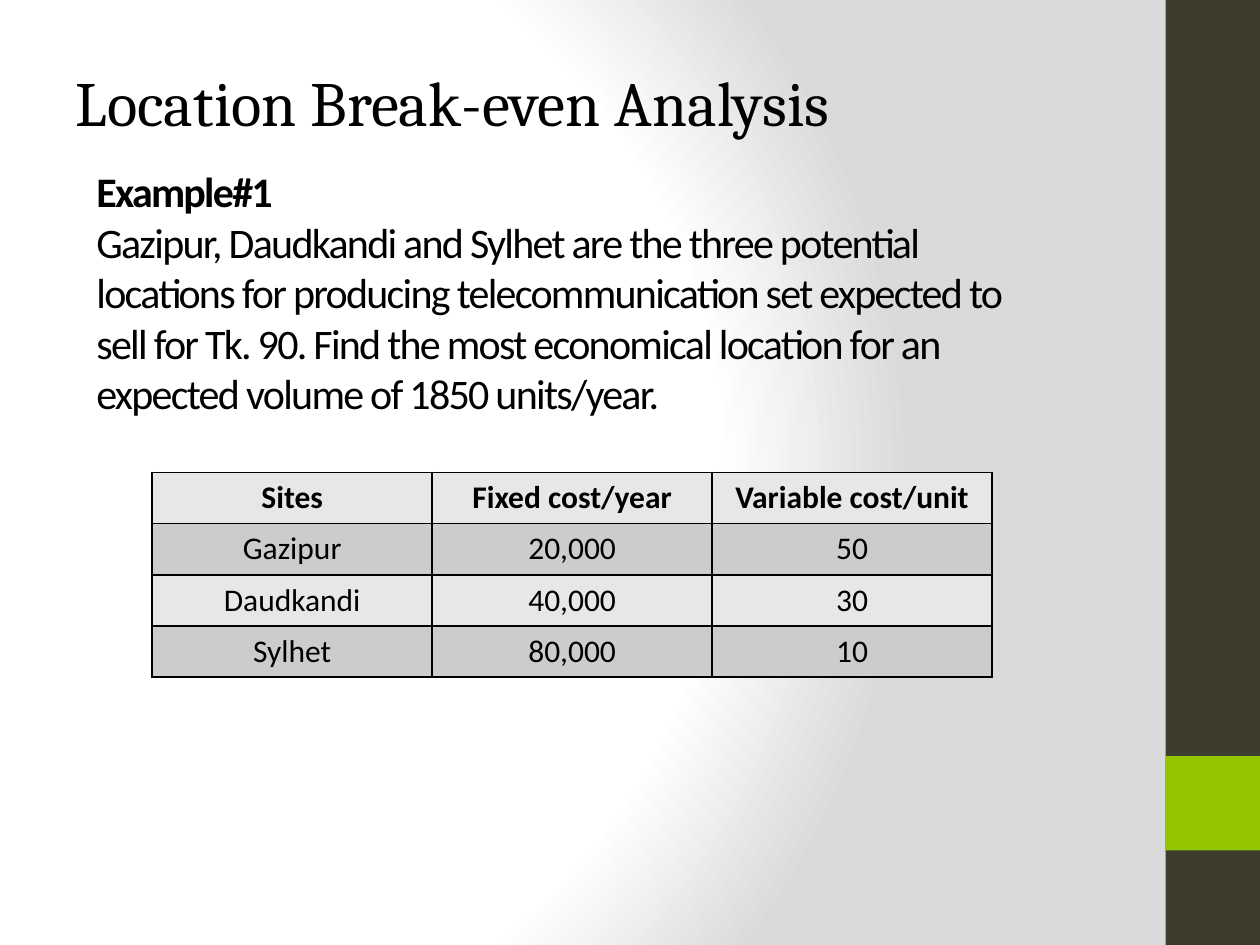
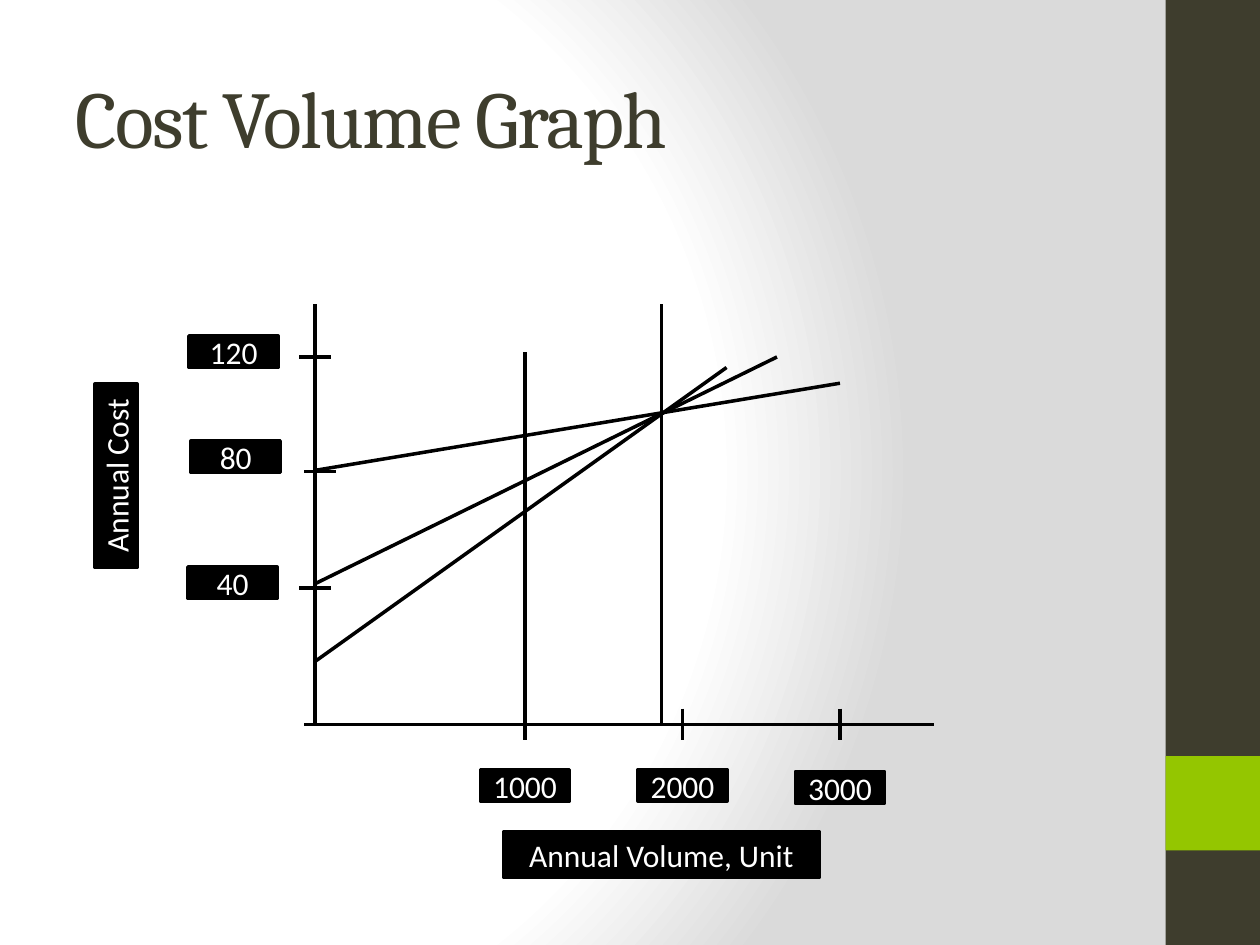
from lxml import etree
from pptx import Presentation
from pptx.dml.color import RGBColor
from pptx.enum.shapes import MSO_CONNECTOR as Line, MSO_SHAPE as Preset
from pptx.enum.text import MSO_ANCHOR as Anchor, MSO_AUTO_SIZE as AutoSize, PP_ALIGN as Align
from pptx.oxml import parse_xml
from pptx.oxml.ns import nsdecls, qn
from pptx.util import Inches, Pt

BLACK = RGBColor(0x00, 0x00, 0x00)
WHITE = RGBColor(0xFF, 0xFF, 0xFF)
OLIVE = RGBColor(0x3E, 0x3D, 0x2D)
LIME = RGBColor(0x94, 0xC6, 0x00)
EDGE_GRAY = RGBColor(0xDA, 0xDA, 0xDA)
ROW_FILLS = RGBColor(0xE7, 0xE7, 0xE7), RGBColor(0xCC, 0xCC, 0xCC)

HEADING_FONT, BODY_FONT = "Cambria", "Calibri"
SLIDE_WIDTH, SLIDE_HEIGHT = Inches(10), Inches(7.5)
COLUMNS, ROWS = 120, 90
ORIGIN_COLUMN, BASE_ROW = 30, 69
TICK_REACH = 1.5
LABEL_WIDTH, LABEL_HEIGHT = 8.5, 3

EXAMPLE = (
    "Gazipur, Daudkandi and Sylhet are the three potential locations for producing "
    "telecommunication set expected to sell for Tk. 90. Find the most economical "
    "location for an expected volume of 1850 units/year."
)
SITE_COSTS = [
    ("Sites", "Fixed cost/year", "Variable cost/unit"),
    ("Gazipur", "20,000", "50"),
    ("Daudkandi", "40,000", "30"),
    ("Sylhet", "80,000", "10"),
]
COST_TICKS = [
    ("120", 30, 34, 18, 32),
    ("80", 30.5, 44.9, 18.2, 42),
    ("40", 30, 56, 17.9, 54),
]
VOLUME_TICKS = [("1000", 50, 73.3), ("2000", 65, 73.3), ("3000", 80, 73.5)]
VOLUME_MARKERS = [(50, 33.5), (63, 29)]
SITE_LINES = [(63, 69.2, 35), (55.6, 74, 34), (44.8, 80, 36.5)]


def x(column):
    return round(SLIDE_WIDTH * column / COLUMNS)


def y(row):
    return round(SLIDE_HEIGHT * row / ROWS)


def area(column, row, width, height):
    return x(column), y(row), x(width), y(height)


def style(paragraph, size, font=BODY_FONT, color=BLACK, bold=False, tracking=0, align=Align.LEFT):
    paragraph.alignment = align
    for run in paragraph.runs:
        run.font.size = Pt(size)
        run.font.name = font
        run.font.color.rgb = color
        run.font.bold = bold
        if tracking:
            run.font._element.set("spc", str(tracking * 100))


def set_background(master):
    master.background.fill.solid()
    properties = master.element.find(".//" + qn("p:bgPr"))
    stops = "".join(
        f'<a:gs pos="{share * 1000}"><a:srgbClr val="{color}"/></a:gs>'
        for share, color in [(0, WHITE), (75, WHITE), (100, EDGE_GRAY)]
    )
    properties.replace(properties[0], parse_xml(
        f'<a:gradFill {nsdecls("a")} rotWithShape="1"><a:gsLst>{stops}</a:gsLst>'
        '<a:path path="circle"><a:fillToRect l="20000" t="50000" r="100000" b="50000"/>'
        "</a:path></a:gradFill>"
    ))


def add_block(slide, place, color):
    block = slide.shapes.add_shape(Preset.RECTANGLE, *area(*place))
    block.shadow.inherit = False
    block.fill.solid()
    block.fill.fore_color.rgb = color
    block.line.fill.background()
    return block


def add_slide(deck, heading, place, size, color, anchor, tracking=0):
    slide = deck.slides.add_slide(deck.slide_layouts[5])
    for band, fill in [((111, 0, 9, ROWS), OLIVE), ((111, 72, 9, 9), LIME)]:
        add_block(slide, band, fill)
    title = slide.shapes.title
    title.left, title.top, title.width, title.height = area(*place)
    frame = title.text_frame
    frame.text = heading
    frame.auto_size = AutoSize.NONE
    frame.vertical_anchor = anchor
    style(frame.paragraphs[0], size, HEADING_FONT, color, tracking=tracking)
    return slide


def add_example(slide):
    frame = slide.shapes.add_textbox(*area(8, 15.2, 93, 27)).text_frame
    frame.word_wrap = True
    frame.text = "Example#1"
    style(frame.paragraphs[0], 24, bold=True, tracking=-1)
    question = frame.add_paragraph()
    question.text = EXAMPLE
    style(question, 24, tracking=-1)


def add_borders(cell):
    properties = cell._tc.get_or_add_tcPr()
    for side in ("lnL", "lnR", "lnT", "lnB"):
        properties.append(parse_xml(
            f'<a:{side} {nsdecls("a")} w="{Pt(1)}"><a:solidFill>'
            f'<a:srgbClr val="{BLACK}"/></a:solidFill></a:{side}>'
        ))


def add_cost_table(slide):
    table = slide.shapes.add_table(
        len(SITE_COSTS), len(SITE_COSTS[0]), *area(14.5, 45, 80, 19.5)
    ).table
    for row, entries in enumerate(SITE_COSTS):
        for column, entry in enumerate(entries):
            cell = table.cell(row, column)
            add_borders(cell)
            cell.fill.solid()
            cell.fill.fore_color.rgb = ROW_FILLS[row % 2]
            cell.text_frame.text = entry
            style(cell.text_frame.paragraphs[0], 18, bold=row == 0, align=Align.CENTER)


def add_rule(slide, start, end):
    rule = slide.shapes.add_connector(
        Line.STRAIGHT, x(start[0]), y(start[1]), x(end[0]), y(end[1])
    )
    rule.line.color.rgb = BLACK
    rule.line.width = Pt(2)
    etree.SubElement(rule._element.spPr, qn("a:effectLst"))


def add_label(slide, text, column, row, width=LABEL_WIDTH, height=LABEL_HEIGHT, rotation=0):
    label = add_block(slide, (column, row, width, height), BLACK)
    label.line.color.rgb = BLACK
    label.line.width = Pt(2)
    label.rotation = rotation
    frame = label.text_frame
    frame.text = text
    frame.word_wrap = False
    frame.vertical_anchor = Anchor.MIDDLE
    style(frame.paragraphs[0], 18, color=WHITE, align=Align.CENTER)


def add_axes(slide):
    add_rule(slide, (29, BASE_ROW), (89, BASE_ROW))
    add_rule(slide, (ORIGIN_COLUMN, BASE_ROW), (ORIGIN_COLUMN, 29))
    for text, column, row, label_column, label_row in COST_TICKS:
        add_rule(slide, (column - TICK_REACH, row), (column + TICK_REACH, row))
        add_label(slide, text, label_column, label_row)
    for text, column, label_row in VOLUME_TICKS:
        add_rule(slide, (column, BASE_ROW - TICK_REACH), (column, BASE_ROW + TICK_REACH))
        add_label(slide, text, column - LABEL_WIDTH / 2, label_row)
    add_label(slide, "Annual Volume, Unit", 48, 79.2, 30, 4.4)
    add_label(slide, "Annual Cost", 2.3, 43.3, 17.5, 4, rotation=270)


def add_cost_lines(slide):
    for column, top in VOLUME_MARKERS:
        add_rule(slide, (column, BASE_ROW), (column, top))
    for fixed_cost_row, end_column, end_row in SITE_LINES:
        add_rule(slide, (ORIGIN_COLUMN, fixed_cost_row), (end_column, end_row))


def main():
    deck = Presentation()
    deck.slide_width, deck.slide_height = SLIDE_WIDTH, SLIDE_HEIGHT
    set_background(deck.slide_master)

    example = add_slide(
        deck, "Location Break-even Analysis", (6, 5.4, 95, 10), 36, BLACK, Anchor.TOP
    )
    add_example(example)
    add_cost_table(example)

    graph = add_slide(
        deck, "Cost Volume Graph", (6, 3.6, 100, 15), 46, OLIVE, Anchor.MIDDLE, tracking=-1
    )
    add_axes(graph)
    add_cost_lines(graph)

    deck.save("out.pptx")


if __name__ == "__main__":
    main()
